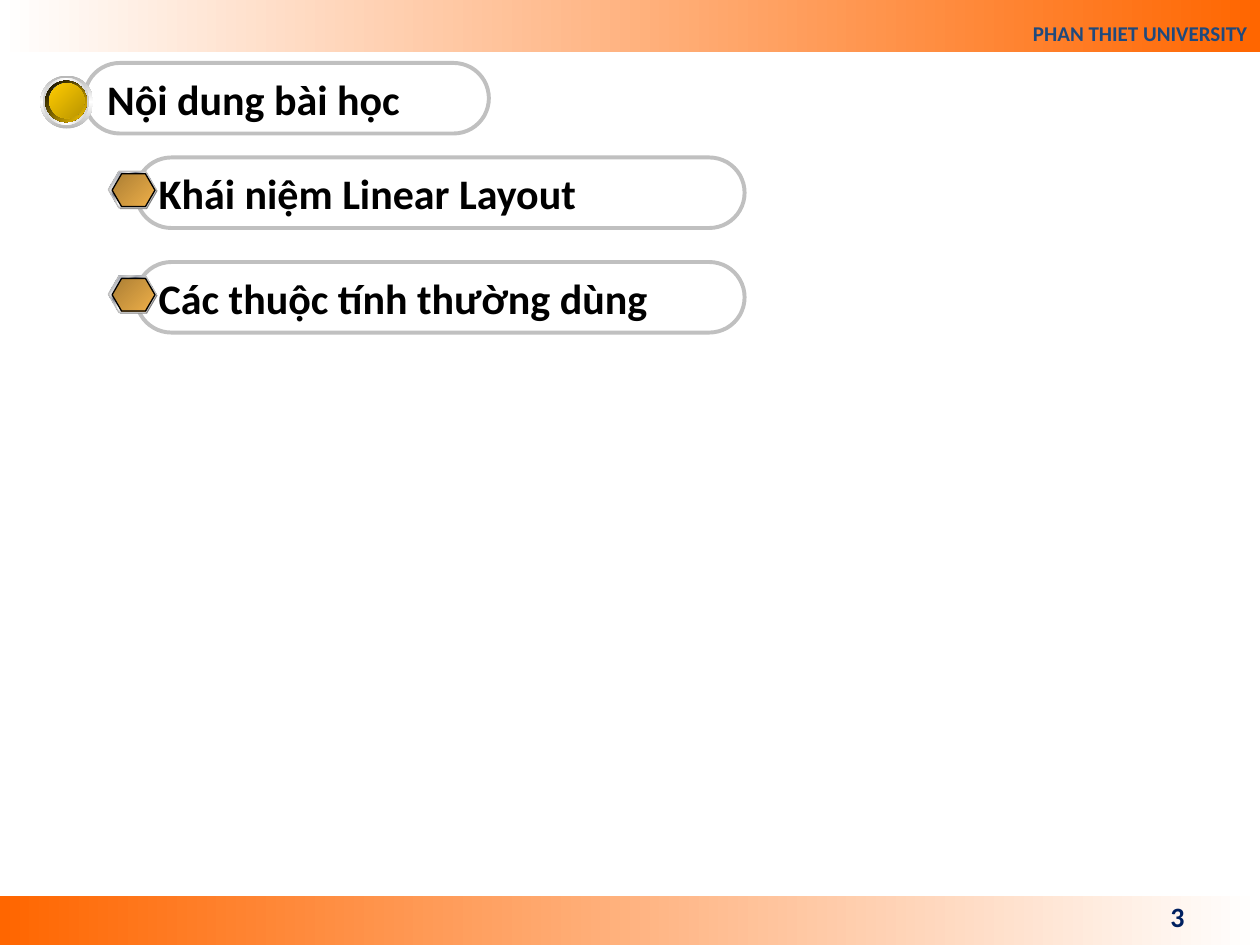
from lxml import etree
from pptx import Presentation
from pptx.dml.color import RGBColor
from pptx.enum.shapes import MSO_SHAPE as SHAPE
from pptx.enum.text import MSO_ANCHOR as ANCHOR, PP_ALIGN as ALIGN
from pptx.oxml.ns import qn
from pptx.util import Inches, Pt

# Content
HEADER = "PHAN THIET UNIVERSITY"
PAGE_NUMBER = "3"
TITLE = "Nội dung bài học"
TOPICS = ["Khái niệm Linear Layout", "Các thuộc tính thường dùng"]

# Style: gradients are (angle, [(position, colour), ...])
FONT = "Calibri"
SILVER = "C0C0C0"
FADE_IN = (0, [(0, "FFFFFF"), (100, "FF6600")])
FADE_OUT = (0, [(0, "FF6600"), (100, "FFFFFF")])
METAL = (45, [(0, "E6E6E6"), (7, "7D8496"), (26, "E6E6E6"), (34, "7D8496"),
              (46, "E6E6E6"), (50, "FFFFFF"), (54, "E6E6E6"), (66, "7D8496"),
              (74, "E6E6E6"), (93, "7D8496"), (100, "E6E6E6")])
BRONZE = (45, [(0, "AB7E34"), (100, "EFB049")])


def mirrored(angle, edge, middle):
    return angle, [(0, edge), (50, middle), (100, edge)]


# Round button, from back to front: left, top, diameter, fill
BUTTON = [
    (0.32, 0.60, 0.42, mirrored(90, "B6B6B6", "FFFFFF")),
    (0.34, 0.62, 0.37, mirrored(0, "D1D1D1", "FFFFFF")),
    (0.36, 0.64, 0.33, mirrored(45, "FFFFFF", "6699FF")),
    (0.36, 0.64, 0.33, (45, [(0, "000000"), (100, "FFCC00")])),
    (0.39, 0.66, 0.28, mirrored(315, "4E75C3", "6699FF")),
    (0.39, 0.66, 0.28, (45, [(0, "FFCC00"), (100, "BA9500")])),
]
# Hexagon bullet: left, offset from the topic's top, width, height, fill, line
BULLET = [
    (0.87, 0.12, 0.38, 0.29, "808080", None),
    (0.86, 0.11, 0.38, 0.29, METAL, SILVER),
    (0.89, 0.13, 0.34, 0.26, BRONZE, "000000"),
]
TOPIC_TOP, TOPIC_STEP = 1.25, 0.83


def color(value):
    return RGBColor.from_string(value)


def set_gradient(shape, angle, stops):
    shape.fill.gradient()
    shape.fill.gradient_angle = 0
    gradient = shape._element.spPr.find(qn("a:gradFill"))
    gradient.find(qn("a:lin")).set("ang", str(angle * 60000))
    stop_list = gradient.find(qn("a:gsLst"))
    for old_stop in list(stop_list):
        stop_list.remove(old_stop)
    for position, value in stops:
        stop = etree.SubElement(stop_list, qn("a:gs"), pos=str(position * 1000))
        etree.SubElement(stop, qn("a:srgbClr"), val=value)


def add_shape(parent, kind, box, fill=None, line=None, line_width=0.75):
    shape = parent.shapes.add_shape(kind, *map(Inches, box))
    shape.shadow.inherit = False
    if fill is None:
        shape.fill.background()
    elif isinstance(fill, str):
        shape.fill.solid()
        shape.fill.fore_color.rgb = color(fill)
    else:
        set_gradient(shape, *fill)
    if line:
        shape.line.color.rgb = color(line)
        shape.line.width = Pt(line_width)
    else:
        shape.line.fill.background()
    return shape


def set_text(shape, text, size, value, align, anchor=ANCHOR.MIDDLE, wrap=True):
    frame = shape.text_frame
    frame.text = text
    frame.word_wrap = wrap
    frame.vertical_anchor = anchor
    paragraph = frame.paragraphs[0]
    paragraph.alignment = align
    font = paragraph.runs[0].font
    font.name, font.size, font.bold = FONT, Pt(size), True
    font.color.rgb = color(value)
    return paragraph


def add_pill(parent, text, box):
    pill = add_shape(parent, SHAPE.ROUNDED_RECTANGLE, box, None, SILVER, 2.25)
    pill.adjustments[0] = 0.5
    set_text(pill, text, 24, "000000", ALIGN.LEFT, wrap=False)


presentation = Presentation()
presentation.slide_width, presentation.slide_height = Inches(10), Inches(7.5)
slide = presentation.slides.add_slide(presentation.slide_layouts[6])

# Footer and header bands
add_shape(slide, SHAPE.RECTANGLE, (0, 7.11, 10, 0.39), FADE_OUT)
header = add_shape(slide, SHAPE.RECTANGLE, (0, -0.01, 10, 0.42), FADE_IN)
set_text(header, HEADER, 12, "1F497D", ALIGN.RIGHT, ANCHOR.BOTTOM).line_spacing = 1.8
number = slide.shapes.add_textbox(*map(Inches, (7.17, 7.07, 2.33, 0.4)))
set_text(number, PAGE_NUMBER, 16, "002060", ALIGN.RIGHT)

# Title with its round button
add_pill(slide, TITLE, (0.67, 0.5, 3.21, 0.56))
button = slide.shapes.add_group_shape()
for left, top, diameter, fill in BUTTON:
    add_shape(button, SHAPE.OVAL, (left, top, diameter, diameter), fill)

# Topics with hexagon bullets
for index, topic in enumerate(TOPICS):
    top = TOPIC_TOP + index * TOPIC_STEP
    group = slide.shapes.add_group_shape()
    add_pill(group, topic, (1.08, top, 4.83, 0.56))
    for left, offset, width, height, fill, line in BULLET:
        hexagon = add_shape(group, SHAPE.HEXAGON, (left, top + offset, width, height),
                            fill, line)
        hexagon.adjustments[0] = 0.29

presentation.save("out.pptx")
